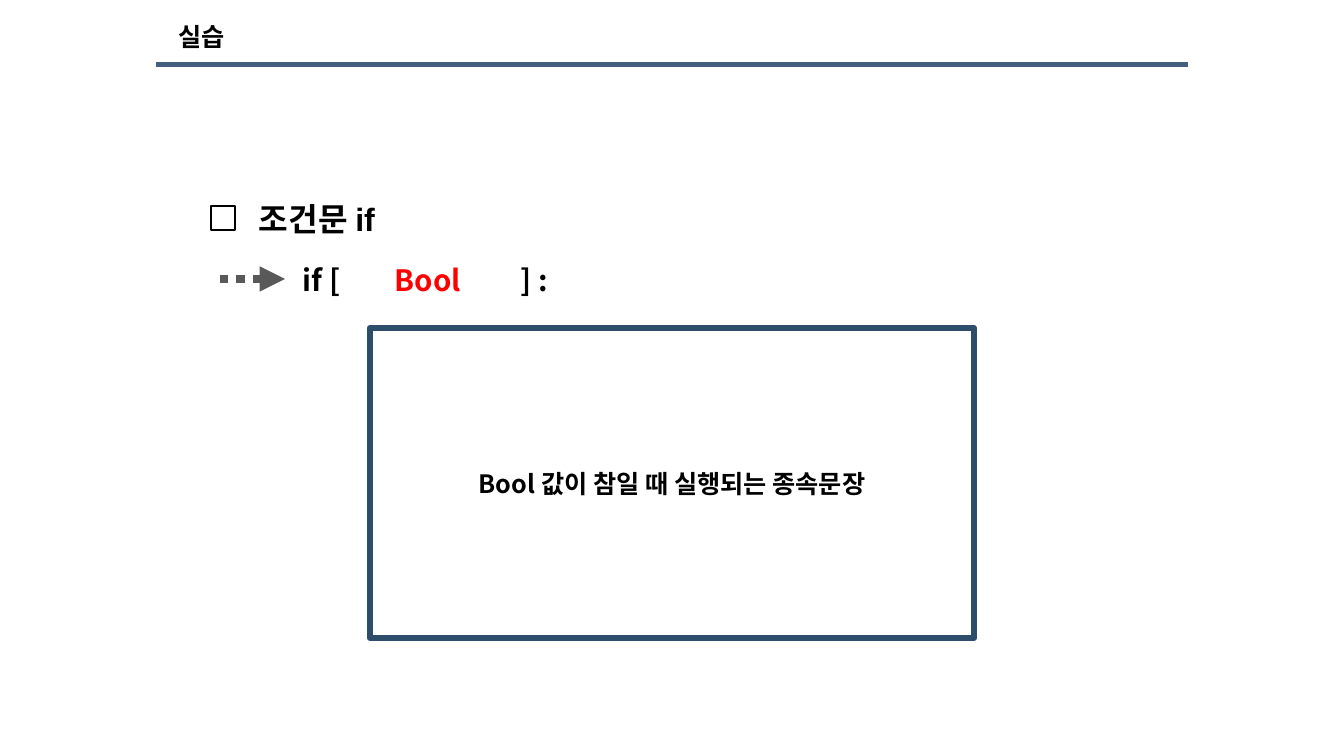
from pptx import Presentation
from pptx.dml.color import RGBColor
from pptx.enum.dml import MSO_LINE
from pptx.enum.shapes import MSO_CONNECTOR, MSO_SHAPE
from pptx.enum.text import MSO_ANCHOR, MSO_AUTO_SIZE, PP_ALIGN
from pptx.oxml.ns import qn
from pptx.util import Pt
from lxml import etree

LEFT, CENTER = PP_ALIGN.LEFT, PP_ALIGN.CENTER
TOP, MIDDLE = MSO_ANCHOR.TOP, MSO_ANCHOR.MIDDLE
RECT, LINE = MSO_SHAPE.RECTANGLE, MSO_CONNECTOR.STRAIGHT
DOT, FIXED = MSO_LINE.ROUND_DOT, MSO_AUTO_SIZE.NONE

BLACK = RGBColor(0x00, 0x00, 0x00)
WHITE = RGBColor(0xFF, 0xFF, 0xFF)
RED = RGBColor(0xFF, 0x00, 0x00)
STEEL = RGBColor(0x45, 0x5F, 0x7E)
NAVY = RGBColor(0x2D, 0x4D, 0x6A)
GRAY = RGBColor(0x59, 0x59, 0x59)
LATIN, KOREAN = "Arial", "Noto Sans CJK KR"

# Content: runs of (text, colour), places in px
TITLE = [("실습", BLACK)]
TOPIC = [("조건문 if", BLACK)]
CODE = [("if [\t", BLACK), ("Bool", RED), ("\t] :", BLACK)]
BODY = [("Bool 값이 참일 때 실행되는 종속문장", BLACK)]
TABS = (92, 218)
TITLE_AT = (168, 16, 572, 40)
TOPIC_AT = (249, 194, 358, 48)
CODE_AT = (293, 257, 361, 45)
MARK_AT = (211, 206, 24, 24)
BLOCK_AT = (370, 328, 604, 310)
RULE = (156, 65, 1188, 65)
ARROW = (285, 279, 220, 279)


def px(n):
    return round(n * 914400 / 100.8)


def place(at):
    return [px(n) for n in at]


def write(shape, runs, size, font, align=LEFT, anchor=TOP):
    frame = shape.text_frame
    layout = {"word_wrap": True, "auto_size": FIXED, "vertical_anchor": anchor}
    for name, value in layout.items():
        setattr(frame, name, value)
    para = frame.paragraphs[0]
    para.alignment = align
    form = {"size": Pt(size), "name": font, "bold": True}
    for text, color in runs:
        run = para.add_run()
        run.text = text
        for name, value in form.items():
            setattr(run.font, name, value)
        run.font.color.rgb = color
        east = etree.SubElement(run.font._element, qn("a:ea"))
        east.set("typeface", KOREAN)
    return para


def label(at, runs, size, font):
    return write(slide.shapes.add_textbox(*place(at)), runs, size, font)


def frame_box(at, color, width):
    box = slide.shapes.add_shape(RECT, *place(at))
    box.shadow.inherit = False
    box.line.color.rgb = color
    box.line.width = Pt(width)
    return box


def stroke(ends, color, width):
    link = slide.shapes.add_connector(LINE, *place(ends))
    link.line.color.rgb = color
    link.line.width = Pt(width)
    etree.SubElement(link._element.spPr, qn("a:effectLst"))
    return link


deck = Presentation()
deck.slide_width, deck.slide_height = px(1344), px(756)
slide = deck.slides.add_slide(deck.slide_layouts[5])

# Header
title = slide.shapes.title
for name, value in zip(("left", "top", "width", "height"), place(TITLE_AT)):
    setattr(title, name, value)
write(title, TITLE, 18, LATIN)
stroke(RULE, STEEL, 3.6)

# Topic with its square mark
mark = frame_box(MARK_AT, BLACK, 1)
mark.fill.solid()
mark.fill.fore_color.rgb = WHITE
label(TOPIC_AT, TOPIC, 23, LATIN)

# Dotted arrow
arrow = stroke(ARROW, GRAY, 6)
arrow.line.dash_style = DOT
tip = etree.SubElement(arrow.line._get_or_add_ln(), qn("a:headEnd"))
tip.set("type", "triangle")

# Code line, spaced by tab stops
code = label(CODE_AT, CODE, 21, KOREAN)
stops = etree.SubElement(code._p.get_or_add_pPr(), qn("a:tabLst"))
for pos in TABS:
    etree.SubElement(stops, qn("a:tab"), pos=str(px(pos)), algn="l")

# Dependent block
block = frame_box(BLOCK_AT, NAVY, 4.5)
block.fill.background()
write(block, BODY, 18, KOREAN, CENTER, MIDDLE)

deck.save("out.pptx")
